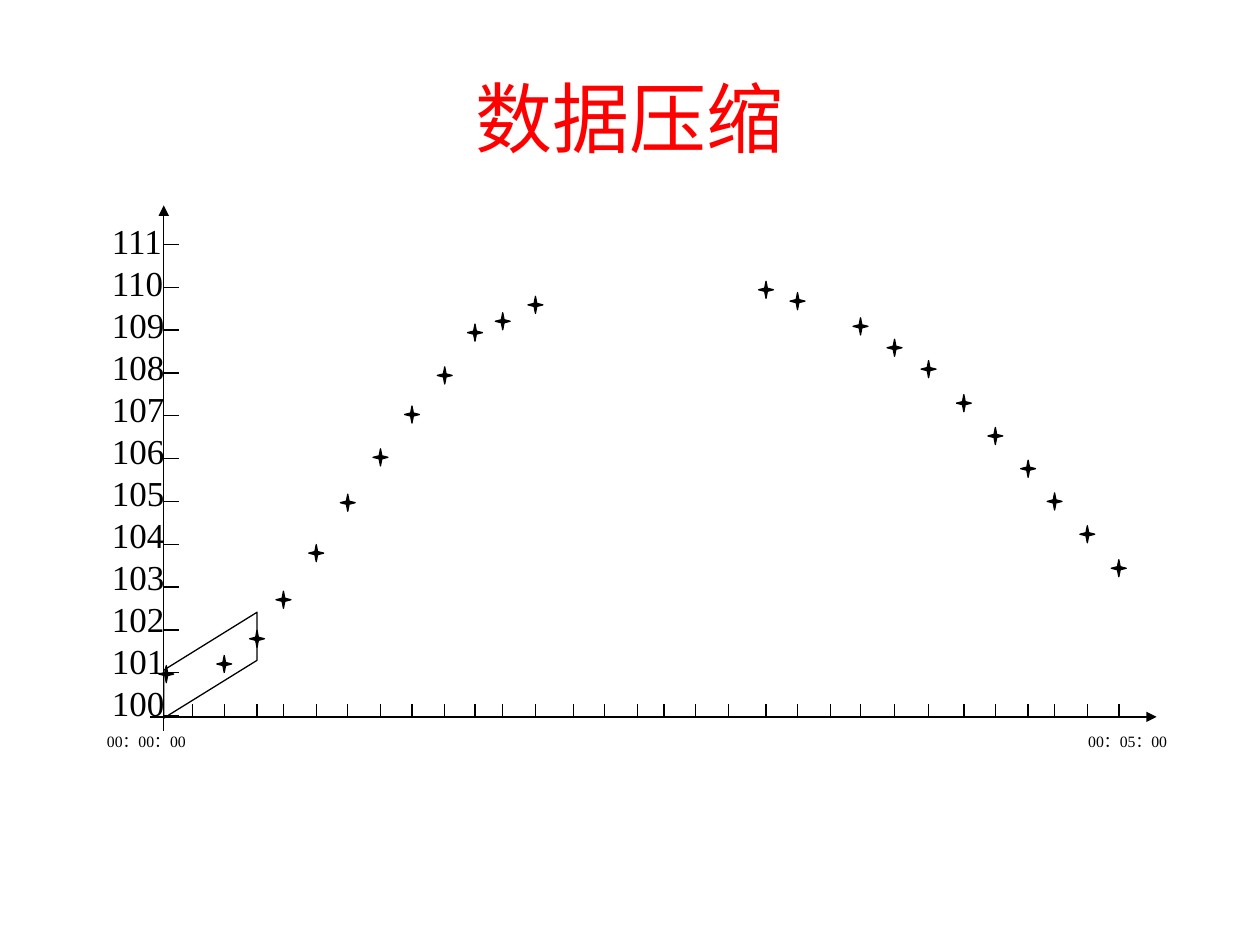
from pptx import Presentation
from pptx.dml.color import RGBColor
from pptx.enum.shapes import MSO_CONNECTOR, MSO_SHAPE
from pptx.enum.text import MSO_ANCHOR, PP_ALIGN
from pptx.oxml.ns import qn
from pptx.util import Inches, Pt
from lxml.etree import SubElement

RED = RGBColor(0xFF, 0x00, 0x00)
BLACK = RGBColor(0x00, 0x00, 0x00)
COLUMNS, ROWS = 100, 75

AXIS_X, AXIS_Y = 13, 56.9
TICK_XS = [15.3, 17.8, 20.4, 22.5, 25.1, 27.6, 30.2, 32.7, 35.3, 37.7,
           39.9, 42.5, 45.5, 48, 50.6, 52.7, 55.2, 57.8, 60.8, 63.3,
           65.9, 68.3, 71, 73.7, 76.5, 79, 81.6, 83.7, 86.3, 88.8]
RISING_YS = [52.7, 50.7, 47.6, 43.9, 39.9, 36.3, 32.9, 29.8, 26.4, 25.5, 24.2]
PEAK_YS = [23, 23.9]
FALLING_YS = [25.9, 27.6, 29.3, 32, 34.6, 37.2, 39.8, 42.4, 45.1]
MARKERS = [(13.2, 53.5), *zip(TICK_XS[1:12], RISING_YS),
           *zip(TICK_XS[18:20], PEAK_YS), *zip(TICK_XS[21:], FALLING_YS)]


class Deck:
    font = "Times New Roman"
    line_width = Pt(0.75)

    def __init__(self):
        self.prs = Presentation()
        self.prs.slide_width, self.prs.slide_height = Inches(10), Inches(7.5)
        self.s = self.prs.slides.add_slide(self.prs.slide_layouts[5])

    def x(self, columns):
        return round(self.prs.slide_width * columns / COLUMNS)

    def y(self, rows):
        return round(self.prs.slide_height * rows / ROWS)

    def box(self, left, top, width, height):
        return self.x(left), self.y(top), self.x(width), self.y(height)

    def fill_text(self, tf, lines, size, color, align, spacing=None):
        tf.word_wrap = True
        tf.text = "\n".join(lines)
        for p in tf.paragraphs:
            p.alignment = align
            p.line_spacing = spacing
            for r in p.runs:
                r.font.name = self.font
                r.font.size = Pt(size)
                r.font.color.rgb = color

    def title(self, text, *area):
        sp = self.s.shapes.title
        sp.left, sp.top, sp.width, sp.height = self.box(*area)
        sp.text_frame.vertical_anchor = MSO_ANCHOR.MIDDLE
        self.fill_text(sp.text_frame, [text], 44, RED, PP_ALIGN.CENTER)

    def label(self, lines, size, align, *area, spacing=None):
        sp = self.s.shapes.add_textbox(*self.box(*area))
        self.fill_text(sp.text_frame, lines, size, BLACK, align, spacing)

    def outline(self, sp):
        sp.line.color.rgb = BLACK
        sp.line.width = self.line_width

    def line(self, x1, y1, x2, y2, arrow=False):
        sp = self.s.shapes.add_connector(
            MSO_CONNECTOR.STRAIGHT, self.x(x1), self.y(y1), self.x(x2), self.y(y2))
        self.outline(sp)
        if arrow:
            ln = sp._element.spPr.find(qn("a:ln"))
            SubElement(ln, qn("a:tailEnd"), type="triangle")
        SubElement(sp._element.spPr, qn("a:effectLst"))

    def star(self, x, y, rx=0.59, ry=0.68, inner=0.18):
        dx, dy = rx * inner, ry * inner
        offsets = [(-rx, 0), (-dx, -dy), (0, -ry), (dx, -dy),
                   (rx, 0), (dx, dy), (0, ry), (-dx, dy)]
        points = [(self.x(x + a), self.y(y + b)) for a, b in offsets]
        builder = self.s.shapes.build_freeform(*points[0])
        builder.add_line_segments(points[1:], close=True)
        sp = builder.convert_to_shape()
        sp.shadow.inherit = False
        sp.fill.solid()
        sp.fill.fore_color.rgb = BLACK
        self.outline(sp)

    def parallelogram(self, *area, slant):
        sp = self.s.shapes.add_shape(MSO_SHAPE.PARALLELOGRAM, *self.box(*area))
        sp.adjustments[0] = slant
        sp.rotation = 270
        sp._element.spPr.find(qn("a:xfrm")).set("flipV", "1")
        sp.shadow.inherit = False
        sp.fill.background()
        self.outline(sp)


def main():
    deck = Deck()
    deck.title("数据压缩", 5, 3, 90, 12.5)

    deck.line(AXIS_X, 58, AXIS_X, 16.3, arrow=True)
    deck.label([str(value) for value in range(111, 99, -1)], 20, PP_ALIGN.JUSTIFY,
               7.9, 16.9, 6.8, 42.6, spacing=Pt(24))
    for i in range(12):
        y = 19.4 + 3.4 * i
        deck.line(AXIS_X, y, AXIS_X + 1.2, y)

    deck.line(11.9, AXIS_Y, 91.8, AXIS_Y, arrow=True)
    for x in TICK_XS:
        deck.line(x, AXIS_Y - 1, x, AXIS_Y + 0.1)
    deck.label(["00：00：00"], 9, PP_ALIGN.JUSTIFY, 7.5, 57.6, 23.8, 5.1)
    deck.label(["00：05：00"], 9, PP_ALIGN.CENTER, 81, 57.6, 17, 5.1)

    for x, y in MARKERS:
        deck.star(x, y)
    deck.parallelogram(12.5, 49.1, 8.4, 7.4, slant=0.62)

    deck.prs.save("out.pptx")


if __name__ == "__main__":
    main()
